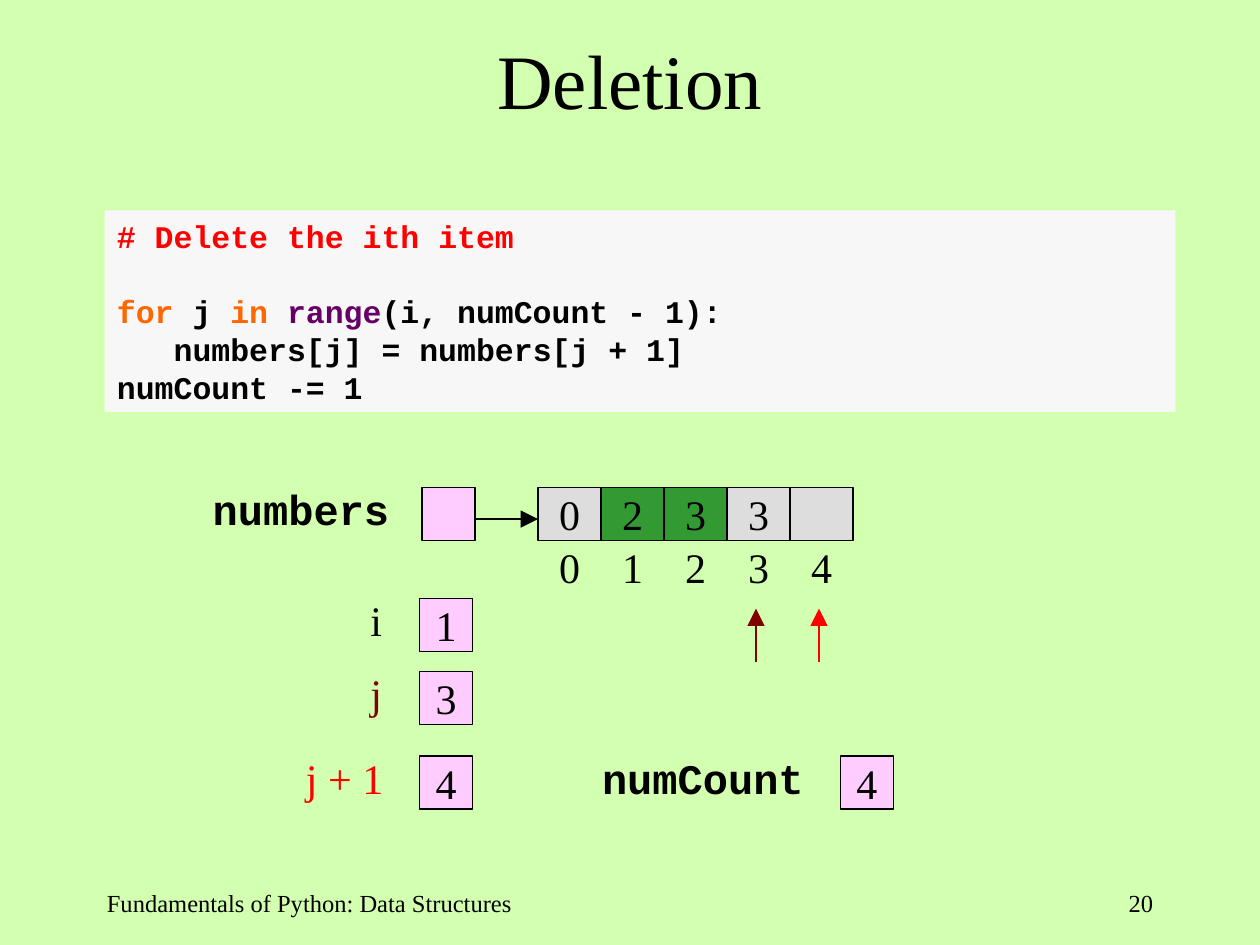
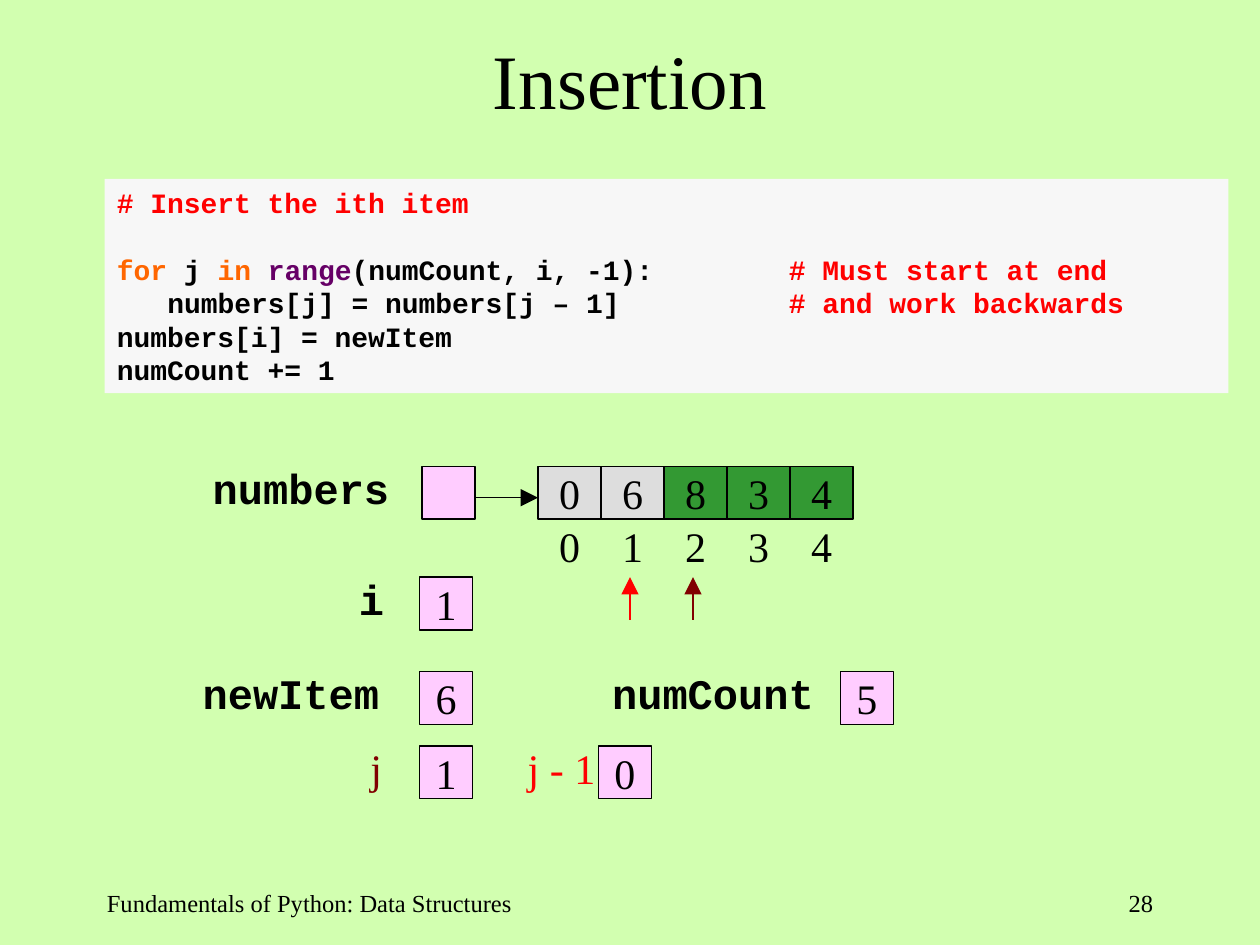
from lxml import etree
from pptx import Presentation
from pptx.dml.color import RGBColor
from pptx.enum.shapes import MSO_CONNECTOR, MSO_SHAPE
from pptx.enum.text import MSO_ANCHOR, MSO_AUTO_SIZE, PP_ALIGN
from pptx.oxml.ns import qn
from pptx.util import Inches, Pt

RECT, LINE = MSO_SHAPE.RECTANGLE, MSO_CONNECTOR.STRAIGHT
LEFT, MID, RIGHT = PP_ALIGN.LEFT, PP_ALIGN.CENTER, PP_ALIGN.RIGHT
TOP, CENTER = MSO_ANCHOR.TOP, MSO_ANCHOR.MIDDLE
GROW = MSO_AUTO_SIZE.SHAPE_TO_FIT_TEXT

SERIF, MONO = "Times New Roman", "Courier New"
BLACK, RED, MAROON = "000000", "FF0000", "800000"
ORANGE, PURPLE = "FF6600", "660066"
LIME, PAPER, PINK, GRAY, GREEN = "D2FFB0", "F7F7F7", "FFCCFF", "DDDDDD", "339933"

CELL, SIDE = 0.5, 0.42      # array cell width, height of every box
ROW_X, BOX_X = 4.27, 3.33   # left of the array, left of the variables
RISE = 0.08                 # a label starts this far above its box


def color(text):
    return RGBColor.from_string(text)


class Deck:
    def __init__(self):
        self.prs = Presentation()
        self.prs.slide_width, self.prs.slide_height = Inches(10), Inches(7.5)
        self.slide = None

    def start(self, title, page):
        """Add a slide with its background, title and footer."""
        self.slide = self.prs.slides.add_slide(self.prs.slide_layouts[6])
        fill = self.slide.background.fill
        fill.solid()
        fill.fore_color.rgb = color(LIME)
        self.text(title, 0.75, 0, 8.5, 1.25, size=44, align=MID, anchor=CENTER)
        self.text("Fundamentals of Python: Data Structures", 0.75, 7, 3.83, size=14)
        self.text(page, 7.17, 7, 2.08, size=14, align=RIGHT)

    def style(self, para, size, font=SERIF, ink=BLACK, align=LEFT):
        para.alignment = align
        para.font.size, para.font.name = Pt(size), font
        para.font.bold = font == MONO
        if ink:
            para.font.color.rgb = color(ink)

    def text(self, words, x, y, w, h=0.5, size=24, font=SERIF, ink=BLACK,
             align=LEFT, anchor=TOP, wrap=True):
        shape = self.slide.shapes.add_textbox(Inches(x), Inches(y), Inches(w), Inches(h))
        frame = shape.text_frame
        frame.word_wrap, frame.vertical_anchor = wrap, anchor
        if not wrap:
            frame.auto_size = GROW
        frame.text = words
        self.style(frame.paragraphs[0], size, font, ink, align)

    def box(self, x, y, w=SIDE, h=SIDE, fill=PINK, words="", edge=True):
        shape = self.slide.shapes.add_shape(RECT, Inches(x), Inches(y), Inches(w), Inches(h))
        shape.shadow.inherit = False
        shape.fill.solid()
        shape.fill.fore_color.rgb = color(fill)
        if edge:
            shape.line.color.rgb = color(BLACK)
            shape.line.width = Pt(0.75)
        else:
            shape.line.fill.background()
        frame = shape.text_frame
        frame.word_wrap, frame.vertical_anchor = False, CENTER
        if words:
            frame.text = words
            self.style(frame.paragraphs[0], 24, align=MID)
        return shape

    def arrow(self, x1, y1, x2, y2, ink=BLACK):
        line = self.slide.shapes.add_connector(
            LINE, Inches(x1), Inches(y1), Inches(x2), Inches(y2))
        line.line.color.rgb = color(ink)
        line.line.width = Pt(0.75)
        etree.SubElement(line.line._get_or_add_ln(), qn("a:tailEnd"),
                         type="triangle", w="lg", len="lg")
        etree.SubElement(line._element.spPr, qn("a:effectLst"))

    def label(self, words, x, y, font=MONO, ink=BLACK, w=None):
        """Name the box whose top is y; fixed pitch gives the width."""
        self.text(words, x, y - RISE, w or 0.2 + 0.2 * len(words),
                  font=font, ink=ink, wrap=False)

    def array(self, y, cells, marks, low, high):
        """Draw the reference, the cells with their indexes, and the marks."""
        self.label("numbers", 1.59, y)
        self.box(3.35, y)
        self.arrow(3.77, y + 0.25, ROW_X, y + 0.25)
        for i, (words, fill) in enumerate(cells):
            x = ROW_X + i * CELL
            self.box(x, y, CELL, fill=fill, words=words)
            self.text(str(i), x, y + 0.38, CELL, align=MID)
        for i, ink in marks:
            x = 4.5 + i * CELL
            self.arrow(x, low, x, high, ink)

    def code(self, y, w, h, size, lines):
        """Draw a listing; tab stops hold the indent and the remarks."""
        shape = self.box(0.83, y, w, h, PAPER, edge=False)
        frame = shape.text_frame
        frame.word_wrap, frame.vertical_anchor = True, TOP
        pitch = size / 120      # width of one letter in inches
        for i, parts in enumerate(lines):
            para = frame.add_paragraph() if i else frame.paragraphs[0]
            self.style(para, size, MONO, ink=None)
            if i == 1:          # gap below the heading remark
                para.space_before = Pt(1.2 * size)
            for words, ink in parts:
                run = para.add_run()
                run.text = words
                run.font.color.rgb = color(ink)
            if any("\t" in words for words, _ in parts):
                tabs = etree.Element(qn("a:tabLst"))
                for col in (3, 40):
                    etree.SubElement(tabs, qn("a:tab"), pos=str(Inches(col * pitch)), algn="l")
                para._p.get_or_add_pPr().find(qn("a:defRPr")).addprevious(tabs)


LOOP = [("for", ORANGE), (" j ", BLACK), ("in ", ORANGE), ("range", PURPLE)]


def delete(deck):
    deck.start("Deletion", "20")
    deck.code(1.67, 8.5, 1.6, 18, [
        [("# Delete the ith item", RED)],
        LOOP + [("(i, numCount - 1):", BLACK)],
        [("\tnumbers[j] = numbers[j + 1]", BLACK)],
        [("numCount -= 1", BLACK)],
    ])
    deck.array(3.87, zip(["0", "2", "3", "3", ""], [GRAY, GREEN, GREEN, GRAY, GRAY]),
               [(3, MAROON), (4, RED)], 5.25, 4.83)
    # Variables
    for name, x, y, w, ink, value in [
        ("i", 2.84, 4.75, 0.29, BLACK, "1"),
        ("j", 2.84, 5.33, 0.29, MAROON, "3"),
        ("j + 1", 2.33, 6, 0.82, RED, "4"),
    ]:
        deck.label(name, x, y, SERIF, ink, w)
        deck.box(BOX_X, y, words=value)
    deck.label("numCount", 4.68, 6)
    deck.box(6.67, 6, words="4")


def insert(deck):
    deck.start("Insertion", "28")
    deck.code(1.42, 8.92, 1.7, 16, [
        [("# Insert the ith item", RED)],
        LOOP + [("(numCount, i, -1):\t", BLACK), ("# Must start at end", RED)],
        [("\tnumbers[j] = numbers[j – 1]\t", BLACK), ("# and work backwards", RED)],
        [("numbers[i] = newItem", BLACK)],
        [("numCount += 1", BLACK)],
    ])
    deck.array(3.7, zip("06834", [GRAY, GRAY, GREEN, GREEN, GREEN]),
               [(2, MAROON), (1, RED)], 4.92, 4.58)
    # Variables in code type
    for name, x, y, left, value in [
        ("i", 2.75, 4.58, BOX_X, "1"),
        ("newItem", 1.51, 5.33, BOX_X, "6"),
        ("numCount", 4.76, 5.33, 6.67, "5"),
    ]:
        deck.label(name, x, y)
        deck.box(left, y, words=value)
    # Positions
    for name, x, w, ink, left, value in [
        ("j", 2.84, 0.29, MAROON, BOX_X, "1"),
        ("j - 1", 4.09, 0.74, RED, 4.75, "0"),
    ]:
        deck.label(name, x, 5.92, SERIF, ink, w)
        deck.box(left, 5.92, words=value)


def main():
    deck = Deck()
    delete(deck)
    insert(deck)
    deck.prs.save("out.pptx")


if __name__ == "__main__":
    main()
